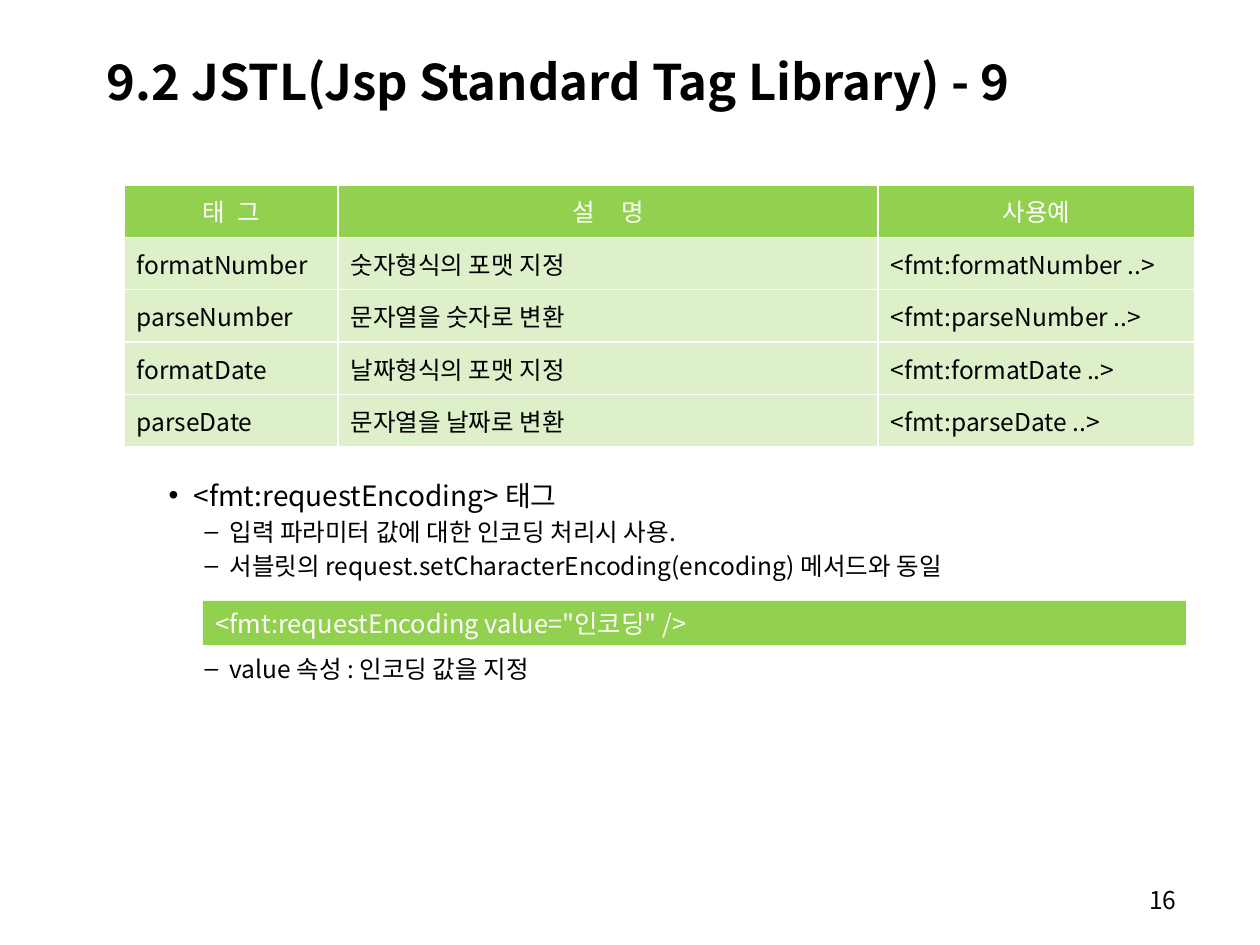
from lxml import etree
from pptx import Presentation
from pptx import util as u
from pptx.dml import color
from pptx.enum import shapes, text
from pptx.oxml import ns

FONT = "Noto Sans CJK KR"
GREEN, WHITE, BLACK = "92D050", "FFFFFF", "000000"
HEADS = [("태 그", 190), ("설 명", 600), ("사용예", 0)]
ROWS = [
    ("formatNumber", "숫자형식의 포맷 지정"),
    ("parseNumber", "문자열을 숫자로 변환"),
    ("formatDate", "날짜형식의 포맷 지정"),
    ("parseDate", "문자열을 날짜로 변환"),
]
NOTES = [
    (1, "<fmt:requestEncoding> 태그", 0),
    (2, "입력 파라미터 값에 대한 인코딩 처리시 사용.", 2.4),
    (2, "서블릿의 request.setCharacterEncoding(encoding) 메서드와 동일", 2.4),
    (2, "value 속성 : 인코딩 값을 지정", 41.8),
]
LEVELS = {1: (87, 16, "•"), 2: (123, 14, "–")}
HANG = 25


def px(n):
    """Turn px into EMU."""
    return u.Emu(round(n * 914400 / 126))


def rgb(code):
    """Turn a hex string into a colour."""
    return color.RGBColor.from_string(code)


def sub(node, tag, **attrs):
    """Add a drawing element with attributes."""
    return etree.SubElement(node, ns.qn(tag), attrs)


def style(para, size, code=BLACK, bold=False):
    """Format the runs of a paragraph."""
    for run in para.runs:
        font = run.font
        font.name, font.size, font.bold = FONT, u.Pt(size), bold
        font.color.rgb = rgb(code)
        sub(run._r.get_or_add_rPr(), "a:ea", typeface=FONT)


def place(shape, box):
    """Move a shape to a box."""
    shape.left, shape.top, shape.width, shape.height = map(px, box)


def title(slide, box):
    """Fill the title."""
    shape = slide.shapes.title
    place(shape, box)
    frame = shape.text_frame
    frame.text = "9.2 JSTL(Jsp Standard Tag Library) - 9"
    frame.vertical_anchor = text.MSO_ANCHOR.MIDDLE
    para = frame.paragraphs[0]
    para.alignment = text.PP_ALIGN.LEFT
    style(para, 28, bold=True)


def notes(slide, box):
    """Fill the body with the bulleted list."""
    shape = slide.placeholders[1]
    place(shape, box)
    frame = shape.text_frame
    frame.text = "\n".join(words for _, words, _ in NOTES)
    for para, (level, _, gap) in zip(frame.paragraphs, NOTES):
        left, size, mark = LEVELS[level]
        para.level = level
        para.space_before, para.line_spacing = u.Pt(gap), u.Pt(17)
        props = para._p.get_or_add_pPr()
        props.set("marL", str(px(left)))
        props.set("indent", str(px(-HANG)))
        sub(props, "a:buFont", typeface="Arial")
        sub(props, "a:buChar", char=mark)
        style(para, size)


def cell_look(cell, alpha=None):
    """Give a cell white borders and a green fill."""
    cell.vertical_anchor = text.MSO_ANCHOR.MIDDLE
    props = cell._tc.get_or_add_tcPr()
    for side in ("a:lnL", "a:lnR", "a:lnT", "a:lnB"):
        line = sub(props, side, w=str(u.Pt(1)))
        sub(sub(line, "a:solidFill"), "a:srgbClr", val=WHITE)
    tint = sub(sub(props, "a:solidFill"), "a:srgbClr", val=GREEN)
    if alpha:
        sub(tint, "a:alpha", val=str(alpha * 1000))


def tags(slide, box, cols):
    """Add the table of format tags."""
    count = len(ROWS) + 1
    table = slide.shapes.add_table(count, len(cols), *map(px, box)).table
    for col, width in zip(table.columns, cols):
        col.width = px(width)
    for row in table.rows:
        row.height = px(box[3] / count)
    for cell, (words, space) in zip(table.rows[0].cells, HEADS):
        cell.text = words
        cell_look(cell)
        para = cell.text_frame.paragraphs[0]
        para.alignment = text.PP_ALIGN.CENTER
        style(para, 14, WHITE)
        para.runs[0]._r.get_or_add_rPr().set("spc", str(space))
    for r, (name, use) in enumerate(ROWS, 1):
        line = (name, use, f"<fmt:{name} ..>")
        for cell, words in zip(table.rows[r].cells, line):
            cell.text = words
            cell_look(cell, 30)
            style(cell.text_frame.paragraphs[0], 14)


def syntax(slide, box):
    """Add the green bar with the tag syntax."""
    bar = slide.shapes.add_shape(shapes.MSO_SHAPE.RECTANGLE, *map(px, box))
    bar.shadow.inherit = False
    bar.fill.solid()
    bar.fill.fore_color.rgb = rgb(GREEN)
    bar.line.fill.background()
    frame = bar.text_frame
    frame.text = '<fmt:requestEncoding value="인코딩" />'
    frame.vertical_anchor = text.MSO_ANCHOR.MIDDLE
    para = frame.paragraphs[0]
    para.alignment = text.PP_ALIGN.LEFT
    style(para, 14.5, WHITE)


def number(slide, box):
    """Add the page number."""
    frame = slide.shapes.add_textbox(*map(px, box)).text_frame
    frame.word_wrap = True
    frame.text = "16"
    para = frame.paragraphs[0]
    para.alignment = text.PP_ALIGN.RIGHT
    style(para, 14)


def main():
    """Build and save the slide."""
    deck = Presentation()
    deck.slide_width, deck.slide_height = px(1260), px(945)
    slide = deck.slides.add_slide(deck.slide_layouts[1])
    title(slide, (94, 16, 1166, 129))
    notes(slide, (94, 476, 1100, 374))
    number(slide, (927, 879, 262, 44))
    tags(slide, (124, 185, 1071, 262), (214, 540, 317))
    syntax(slide, (203, 601, 983, 44))
    deck.save("out.pptx")


if __name__ == "__main__":
    main()
